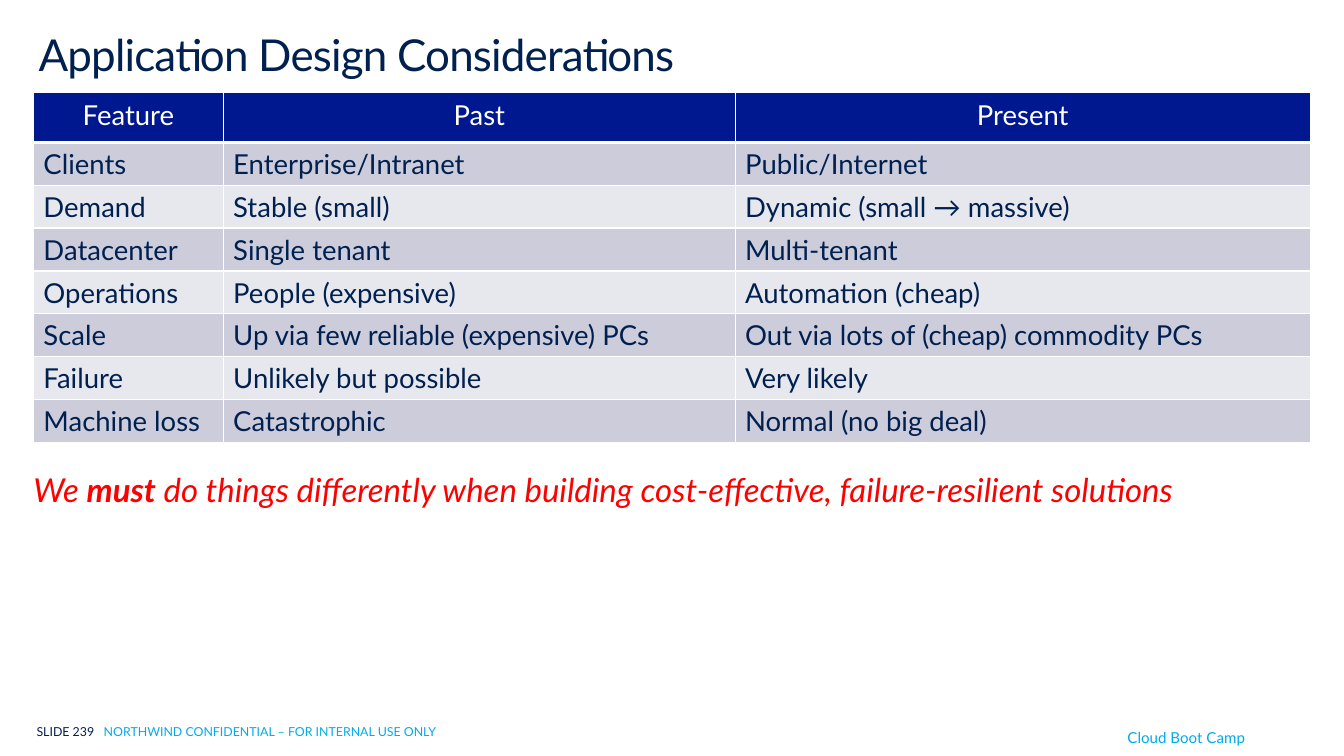
"""Build the Application Design Considerations slide."""
from lxml import etree
from pptx import Presentation
from pptx.dml.color import RGBColor
from pptx.enum.text import PP_ALIGN
from pptx.oxml.ns import qn
from pptx.util import Inches, Pt

CENTER, LEFT = PP_ALIGN.CENTER, PP_ALIGN.LEFT
NAVY = RGBColor(0x00, 0x20, 0x50)
BLUE = RGBColor(0x00, 0x18, 0x8F)
SKY = RGBColor(0x00, 0xAB, 0xEC)
RED = RGBColor(0xFF, 0x00, 0x00)
WHITE = RGBColor(0xFF, 0xFF, 0xFF)
BAND_DARK = RGBColor(0xCC, 0xCC, 0xDB)
BAND_LIGHT = RGBColor(0xE7, 0xE8, 0xEE)
FONT = "Lato"

COLUMN_WIDTHS = (1.92, 5.18, 5.82)
HEADER_HEIGHT, ROW_HEIGHT = 0.5, 0.43
FEATURES = (
    ("Feature", "Past", "Present"),
    ("Clients", "Enterprise/Intranet", "Public/Internet"),
    ("Demand", "Stable (small)", "Dynamic (small → massive)"),
    ("Datacenter", "Single tenant", "Multi-tenant"),
    ("Operations", "People (expensive)", "Automation (cheap)"),
    ("Scale", "Up via few reliable (expensive) PCs", "Out via lots of (cheap) commodity PCs"),
    ("Failure", "Unlikely but possible", "Very likely"),
    ("Machine loss", "Catastrophic", "Normal (no big deal)"),
)


def style(font, size, color):
    font.name, font.size = FONT, Pt(size)
    font.color.rgb = color


def add_text(slide, box, texts, size, color, insets=(0.1, 0.05, 0.1, 0.05), spacing=None):
    sp = slide.shapes.add_textbox(*(Inches(v) for v in box))
    tf = sp.text_frame
    tf.word_wrap = True
    tf.margin_left, tf.margin_top, tf.margin_right, tf.margin_bottom = (Inches(v) for v in insets)
    p = tf.paragraphs[0]
    style(p.font, size, color)
    if spacing:
        p.line_spacing = spacing
    for text in texts:
        p.add_run().text = text
    return p


def set_borders(cell, bottom):
    tcPr = cell._tc.get_or_add_tcPr()
    for side, width in (("L", 1), ("R", 1), ("T", 1), ("B", bottom)):
        ln = etree.SubElement(tcPr, qn(f"a:ln{side}"), w=str(Pt(width)))
        fill = etree.SubElement(ln, qn("a:solidFill"))
        etree.SubElement(fill, qn("a:srgbClr"), val=str(WHITE))


def fill_cell(cell, text, fill, color, align, bottom=1):
    set_borders(cell, bottom)
    cell.fill.solid()
    cell.fill.fore_color.rgb = fill
    p = cell.text_frame.paragraphs[0]
    p.alignment = align
    style(p.font, 20, color)
    p.add_run().text = text


def add_feature_table(slide):
    height = HEADER_HEIGHT + ROW_HEIGHT * (len(FEATURES) - 1)
    table = slide.shapes.add_table(
        len(FEATURES), len(COLUMN_WIDTHS), Inches(0.34), Inches(0.94),
        Inches(sum(COLUMN_WIDTHS)), Inches(height)).table
    for column, width in zip(table.columns, COLUMN_WIDTHS):
        column.width = Inches(width)
    for i, texts in enumerate(FEATURES):
        table.rows[i].height = Inches(ROW_HEIGHT if i else HEADER_HEIGHT)
        for j, text in enumerate(texts):
            cell = table.cell(i, j)
            if i:
                fill_cell(cell, text, BAND_DARK if i % 2 else BAND_LIGHT, NAVY, LEFT)
            else:
                fill_cell(cell, text, BLUE, WHITE, CENTER, bottom=3)
                if j:
                    cell.margin_left = cell.margin_right = Inches(0.25)


def main():
    prs = Presentation()
    prs.slide_width, prs.slide_height = Inches(13.6), Inches(7.65)
    slide = prs.slides.add_slide(prs.slide_layouts[6])

    title = add_text(slide, (0.39, 0.29, 12.87, 0.72), ["Application Design Considerations"],
                     32, NAVY, (0, 0.05, 0.1, 0.05), 0.9)
    title.runs[0]._r.get_or_add_rPr().set("spc", "-60")

    add_feature_table(slide)

    message = add_text(slide, (0.24, 4.7, 13.3, 0.87),
                       ["We ", "must",
                        " do things differently when building cost-effective, failure-resilient solutions"],
                       24, RED)
    message.font.italic = True
    message.runs[1].font.bold = True

    footer = add_text(slide, (0.37, 7.28, 6.86, 0.33),
                      ["SLIDE 239   ", "NORTHWIND CONFIDENTIAL – FOR INTERNAL USE ONLY"],
                      9, NAVY, (0, 0.16, 0.2, 0.16), 0.9)
    footer.runs[1].font.color.rgb = SKY
    add_text(slide, (11.31, 7.28, 1.58, 0.37), ["Cloud Boot Camp"], 11, SKY, (0.1, 0.1, 0.1, 0.1))

    prs.save("out.pptx")


if __name__ == "__main__":
    main()
